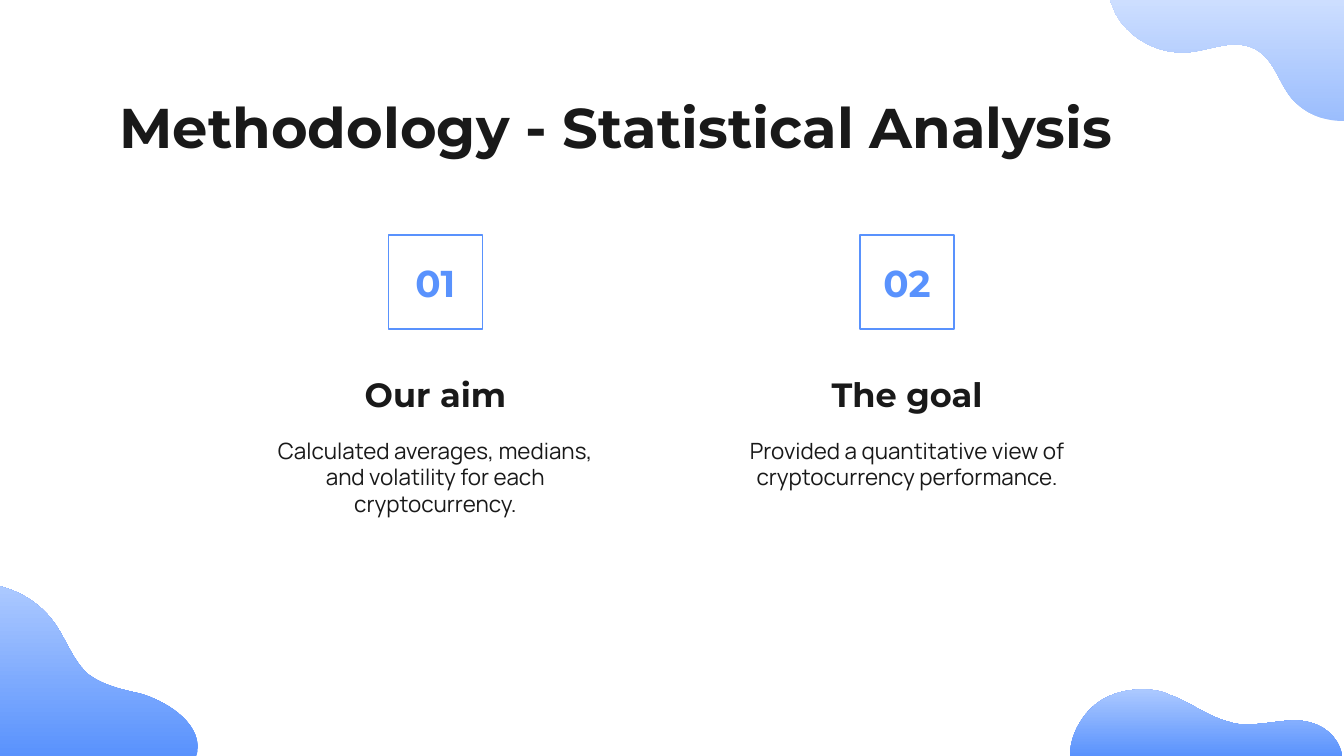
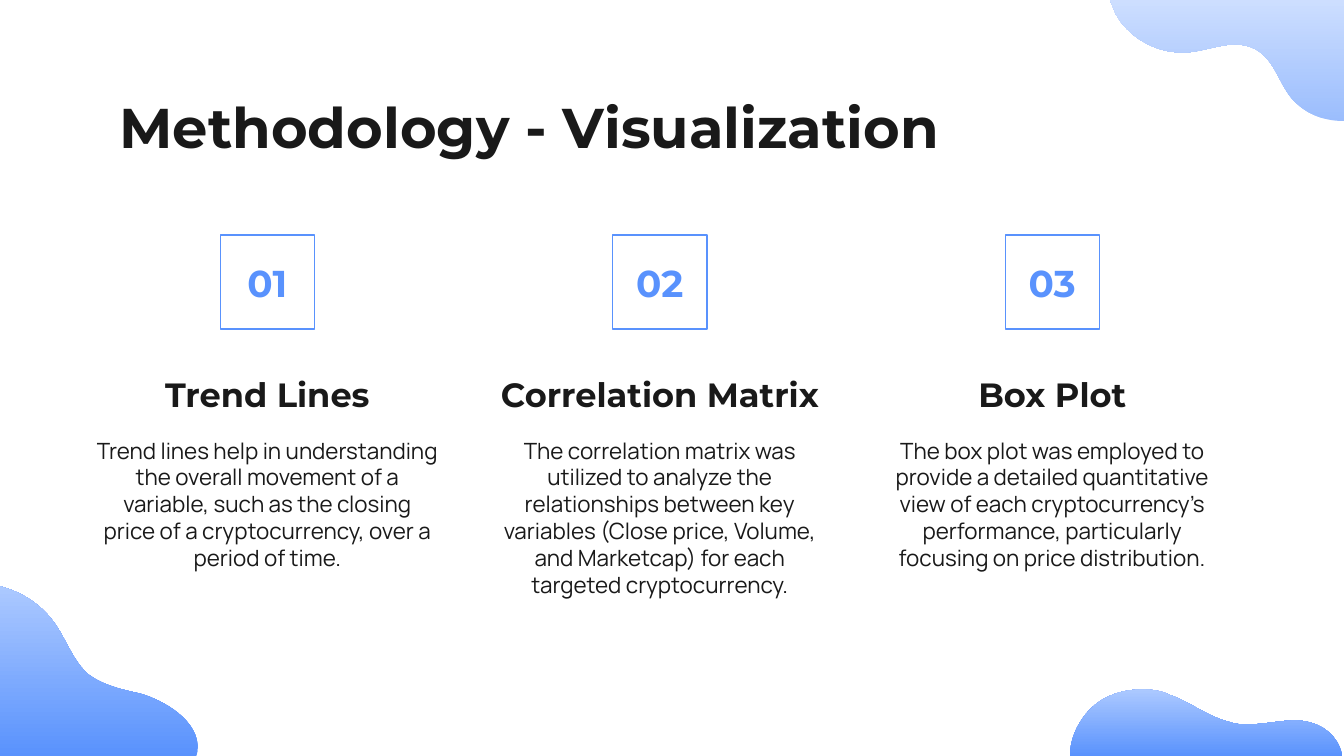
from dataclasses import dataclass

from lxml.etree import SubElement
from pptx import Presentation
from pptx.dml.color import RGBColor as Rgb
from pptx.enum.shapes import MSO_SHAPE as Preset
from pptx.enum.text import MSO_ANCHOR as Anchor, PP_ALIGN as Align
from pptx.oxml.ns import qn
from pptx.util import Inches, Pt


@dataclass(frozen=True)
class Theme:
    ink: Rgb = Rgb.from_string("191919")
    blue: Rgb = Rgb.from_string("5992FD")
    pale: Rgb = Rgb.from_string("ACC9FF")
    heading_font: str = "Montserrat"
    body_font: str = "Manrope"
    title_size: int = 30
    number_size: int = 20
    heading_size: int = 18
    body_size: int = 12


THEME = Theme()
TITLE = dict(name=THEME.heading_font, size=Pt(THEME.title_size), bold=True)
NUMBER = dict(name=THEME.heading_font, size=Pt(THEME.number_size), bold=True)
HEADING = dict(name=THEME.heading_font, size=Pt(THEME.heading_size), bold=True)
BODY = dict(name=THEME.body_font, size=Pt(THEME.body_size), bold=False)

COLUMN_WIDTH = 2.74
BADGE_SIDE = 0.7

BOTTOM_RIGHT_WAVE = [
    (9.99, 5.63),
    (9.96, 5.48, 9.84, 5.37, 9.65, 5.36),
    (9.64, 5.36, 9.64, 5.36, 9.64, 5.36),
    (9.52, 5.36, 9.41, 5.39, 9.29, 5.39),
    (9.24, 5.39, 9.19, 5.39, 9.14, 5.37),
    (8.98, 5.33, 8.85, 5.22, 8.7, 5.17),
    (8.64, 5.14, 8.57, 5.13, 8.5, 5.13),
    (8.38, 5.13, 8.27, 5.16, 8.18, 5.22),
    (8.05, 5.31, 7.96, 5.47, 7.96, 5.63),
]
TOP_RIGHT_WAVE = [
    (9.99, 0.9),
    (9.99, 0.9, 10, 0.9, 10, 0.9),
    (10, 0),
    (8.26, 0),
    (8.27, 0.03, 8.29, 0.07, 8.3, 0.1),
    (8.39, 0.27, 8.59, 0.39, 8.79, 0.39),
    (8.8, 0.39, 8.82, 0.39, 8.83, 0.39),
    (8.95, 0.38, 9.08, 0.33, 9.19, 0.33),
    (9.24, 0.33, 9.29, 0.34, 9.33, 0.36),
    (9.5, 0.44, 9.52, 0.67, 9.66, 0.78),
    (9.75, 0.86, 9.87, 0.9, 9.99, 0.9),
]
BOTTOM_LEFT_WAVE = [
    (-0.01, 5.63),
    (-0.01, 4.36),
    (0.15, 4.4, 0.3, 4.49, 0.4, 4.63),
    (0.49, 4.75, 0.54, 4.92, 0.66, 5.02),
    (0.77, 5.1, 0.9, 5.13, 1.04, 5.16),
    (1.25, 5.22, 1.53, 5.4, 1.46, 5.63),
]


def half_turn(outline):
    spans = [[segment[axis] for segment in outline] for axis in (-2, -1)]
    sums = [min(span) + max(span) for span in spans]
    return [tuple(sums[i % 2] - value for i, value in enumerate(segment))
            for segment in outline]


def bend_lines(wave, segments):
    lines = list(wave.element.iter(qn("a:lnTo")))
    for line, segment in zip(lines, segments):
        if len(segment) == 2:
            continue
        line.tag = qn("a:cubicBezTo")
        line.remove(line[0])
        for x, y in zip(segment[::2], segment[1::2]):
            point = SubElement(line, qn("a:pt"))
            point.set("x", str(Inches(x) - wave.left))
            point.set("y", str(Inches(y) - wave.top))


def add_wave(slide, outline, opacity=100):
    segments = half_turn(outline)
    start, *anchors = [tuple(map(Inches, segment[-2:])) for segment in segments]
    builder = slide.shapes.build_freeform(*start)
    builder.add_line_segments(anchors, close=False)
    wave = builder.convert_to_shape()
    bend_lines(wave, segments[1:])
    wave.rotation = 180
    wave.shadow.inherit = False
    wave.line.fill.background()
    wave.fill.gradient()
    wave.fill.gradient_angle = 270
    for stop, color in zip(wave.fill.gradient_stops, (THEME.blue, THEME.pale)):
        stop.color.rgb = color
    if opacity < 100:
        for color in wave.element.iter(qn("a:srgbClr")):
            SubElement(color, qn("a:alpha")).set("val", str(opacity * 1000))


def write(holder, wording, style, color=THEME.ink, align=Align.CENTER, anchor=Anchor.TOP):
    frame = holder.text_frame
    layout = dict(word_wrap=True, vertical_anchor=anchor)
    layout.update((f"margin_{side}", Inches(0.1))
                  for side in ("left", "top", "right", "bottom"))
    for name, value in layout.items():
        setattr(frame, name, value)
    paragraph = frame.paragraphs[0]
    paragraph.alignment = align
    run = paragraph.add_run()
    run.text = wording
    for name, value in style.items():
        setattr(run.font, name, value)
    run.font.color.rgb = color


def add_text(slide, box, wording, style, **options):
    write(slide.shapes.add_textbox(*map(Inches, box)), wording, style, **options)


def add_badge(slide, left, number):
    badge = slide.shapes.add_shape(
        Preset.RECTANGLE, *map(Inches, (left, 1.75, BADGE_SIDE, BADGE_SIDE)))
    badge.shadow.inherit = False
    badge.fill.background()
    badge.line.color.rgb = THEME.blue
    badge.line.width = Pt(0.75)
    write(badge, f"{number:02d}", NUMBER, color=THEME.blue, anchor=Anchor.MIDDLE)


def add_column(slide, left, number, heading, body):
    add_text(slide, (left, 3.15, COLUMN_WIDTH, 1.64), body, BODY)
    add_text(slide, (left, 2.72, COLUMN_WIDTH, 0.46), heading, HEADING, anchor=Anchor.BOTTOM)
    add_badge(slide, left + (COLUMN_WIDTH - BADGE_SIDE) / 2, number)


def add_method_slide(deck, title, first_left, pitch, columns):
    slide = deck.slides.add_slide(deck.slide_layouts[6])
    add_wave(slide, BOTTOM_RIGHT_WAVE)
    add_wave(slide, TOP_RIGHT_WAVE, opacity=60)
    add_wave(slide, BOTTOM_LEFT_WAVE)
    add_text(slide, (0.79, 0.59, 8.43, 0.63), title, TITLE, align=Align.LEFT)
    for index, (heading, body) in enumerate(columns):
        add_column(slide, first_left + index * pitch, index + 1, heading, body)


def main():
    deck = Presentation()
    deck.slide_width, deck.slide_height = Inches(10), Inches(5.625)
    add_method_slide(deck, "Methodology - Statistical Analysis", 1.87, 3.51, [
        ("Our aim",
         "Calculated averages, medians, and volatility for each cryptocurrency."),
        ("The goal",
         "Provided a quantitative view of cryptocurrency performance."),
    ])
    add_method_slide(deck, "Methodology - Visualization", 0.62, 2.92, [
        ("Trend Lines",
         "Trend lines help in understanding the overall movement of a variable, "
         "such as the closing price of a cryptocurrency, over a period of time."),
        ("Correlation Matrix",
         "The correlation matrix was utilized to analyze the relationships between key "
         "variables (Close price, Volume, and Marketcap) for each targeted cryptocurrency."),
        ("Box Plot",
         "The box plot was employed to provide a detailed quantitative view of each "
         "cryptocurrency's performance, particularly focusing on price distribution."),
    ])
    deck.save("out.pptx")


if __name__ == "__main__":
    main()
